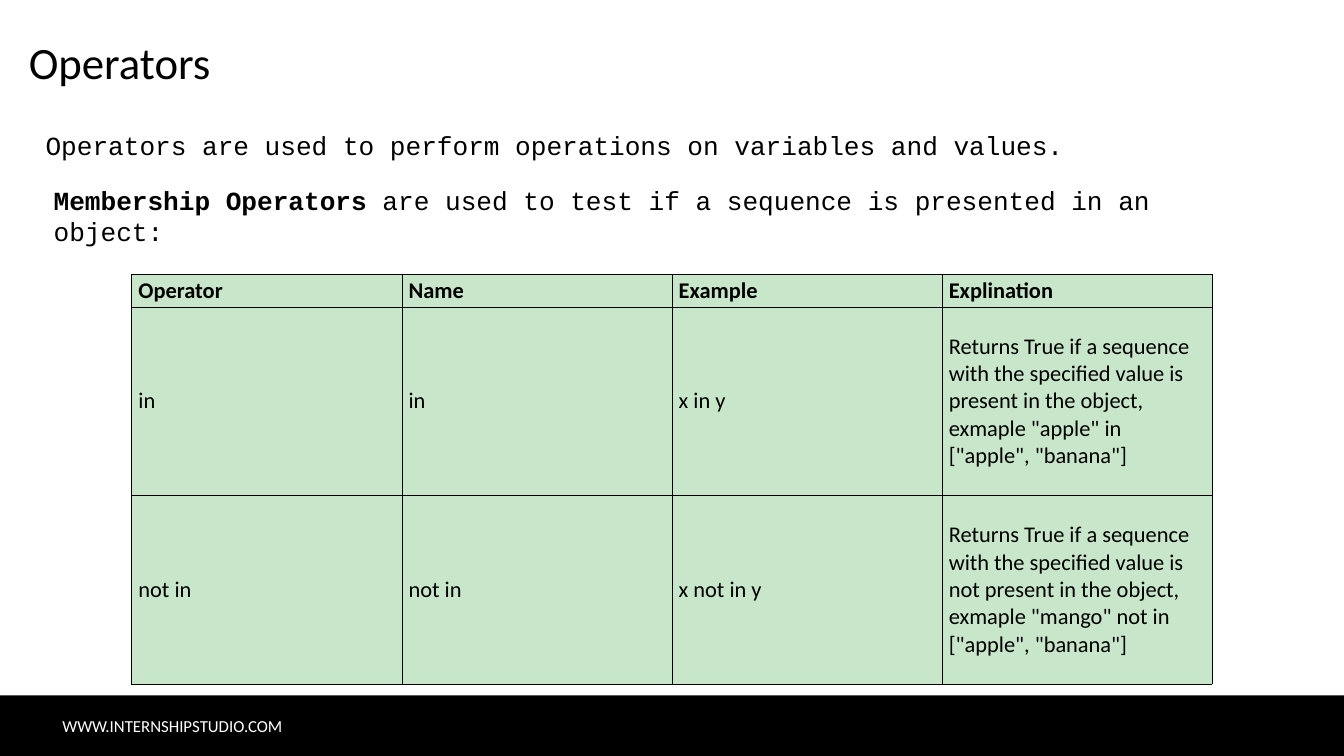
import dataclasses

import pptx
import pptx.dml.color
import pptx.enum.shapes
import pptx.enum.text
import pptx.oxml
import pptx.oxml.ns
import pptx.util

SLIDE_WIDTH, SLIDE_HEIGHT = 20, 11.25
FOOTER_HEIGHT = 0.9


@dataclasses.dataclass(frozen=True)
class Theme:
    black: str = "000000"
    white: str = "FFFFFF"
    cell: str = "C8E6C9"
    sans: str = "Calibri"
    mono: str = "Courier New"
    title_size: int = 48
    body_size: int = 28
    table_size: int = 24
    footer_size: int = 18
    border_width: float = 0.6


THEME = Theme()

TABLE_ROWS = [
    ["Operator", "Name", "Example", "Explination"],
    ["in", "in", "x in y",
     "Returns True if a sequence with the specified value is present in the object, "
     'exmaple "apple" in ["apple", "banana"]'],
    ["not in", "not in", "x not in y",
     "Returns True if a sequence with the specified value is not present in the object, "
     'exmaple "mango" not in ["apple", "banana"]'],
]


def inches(box):
    return [pptx.util.Inches(length) for length in box]


def rgb(color):
    return pptx.dml.color.RGBColor.from_string(color)


def style_run(run, font, size, color=THEME.black, bold=False):
    run.font.name = font
    run.font.size = pptx.util.Pt(size)
    run.font.color.rgb = rgb(color)
    run.font.bold = bold


def add_text(slide, box, parts, font, size, color=THEME.black):
    """Add one paragraph made of (text, bold) parts."""
    text_frame = slide.shapes.add_textbox(*inches(box)).text_frame
    text_frame.word_wrap = True
    for text, bold in parts:
        run = text_frame.paragraphs[0].add_run()
        run.text = text
        style_run(run, font, size, color, bold)


def add_footer(slide, box):
    left, top, width, height = box
    bar = slide.shapes.add_shape(pptx.enum.shapes.MSO_SHAPE.RECTANGLE, *inches(box))
    bar.shadow.inherit = False
    bar.fill.solid()
    bar.fill.fore_color.rgb = rgb(THEME.black)
    bar.line.fill.background()
    add_text(slide, (left + 0.83, top + 0.25, 4.67, height - 0.5),
             [("WWW.INTERNSHIPSTUDIO.COM", False)],
             THEME.sans, THEME.footer_size, THEME.white)


def add_heading(slide, box):
    add_text(slide, box, [("Operators", False)], THEME.sans, THEME.title_size)


def add_introduction(slide, box):
    left, top, width, height = box
    add_text(slide, (left, top, 16.42, 0.57),
             [("Operators are used to perform operations on variables and values.", False)],
             THEME.mono, THEME.body_size)
    add_text(slide, (left + 0.12, top + 0.81, width - 0.12, height - 0.81),
             [("Membership Operators", True),
              (" are used to test if a sequence is presented in an object:", False)],
             THEME.mono, THEME.body_size)


def set_borders(cell):
    """Insert the four border lines ahead of the cell's fill, as the schema requires."""
    properties = cell._tc.get_or_add_tcPr()
    width = pptx.util.Pt(THEME.border_width)
    for position, side in enumerate(("lnL", "lnR", "lnT", "lnB")):
        properties.insert(position, pptx.oxml.parse_xml(
            f'<a:{side} {pptx.oxml.ns.nsdecls("a")} w="{width}"><a:solidFill>'
            f'<a:srgbClr val="{THEME.black}"/></a:solidFill></a:{side}>'))


def fill_cell(cell, text, bold):
    cell.fill.solid()
    cell.fill.fore_color.rgb = rgb(THEME.cell)
    cell.vertical_anchor = pptx.enum.text.MSO_ANCHOR.MIDDLE
    cell.margin_top = cell.margin_bottom = pptx.util.Inches(0.04)
    cell.text_frame.text = text
    style_run(cell.text_frame.paragraphs[0].runs[0], THEME.sans, THEME.table_size, bold=bold)
    set_borders(cell)


def add_operator_table(slide, box, header_height=0.49):
    width, height = box[2:]
    row_count, column_count = len(TABLE_ROWS), len(TABLE_ROWS[0])
    table = slide.shapes.add_table(row_count, column_count, *inches(box)).table
    body_height = (height - header_height) / (row_count - 1)
    for column in table.columns:
        column.width = pptx.util.Inches(width / column_count)
    for row_index, texts in enumerate(TABLE_ROWS):
        is_header = row_index == 0
        row_height = header_height if is_header else body_height
        table.rows[row_index].height = pptx.util.Inches(row_height)
        for column_index, text in enumerate(texts):
            fill_cell(table.cell(row_index, column_index), text, is_header)


def main():
    presentation = pptx.Presentation()
    presentation.slide_width, presentation.slide_height = inches((SLIDE_WIDTH, SLIDE_HEIGHT))
    slide = presentation.slides.add_slide(presentation.slide_layouts[6])
    slide.background.fill.solid()
    slide.background.fill.fore_color.rgb = rgb(THEME.white)

    add_footer(slide, (0, SLIDE_HEIGHT - FOOTER_HEIGHT, SLIDE_WIDTH, FOOTER_HEIGHT))
    add_heading(slide, (0.33, 0.46, 12.75, 0.91))
    add_introduction(slide, (0.58, 1.88, 18.37, 1.85))
    add_operator_table(slide, (1.96, 4.08, 16.08, 6.1))
    presentation.save("out.pptx")


if __name__ == "__main__":
    main()
